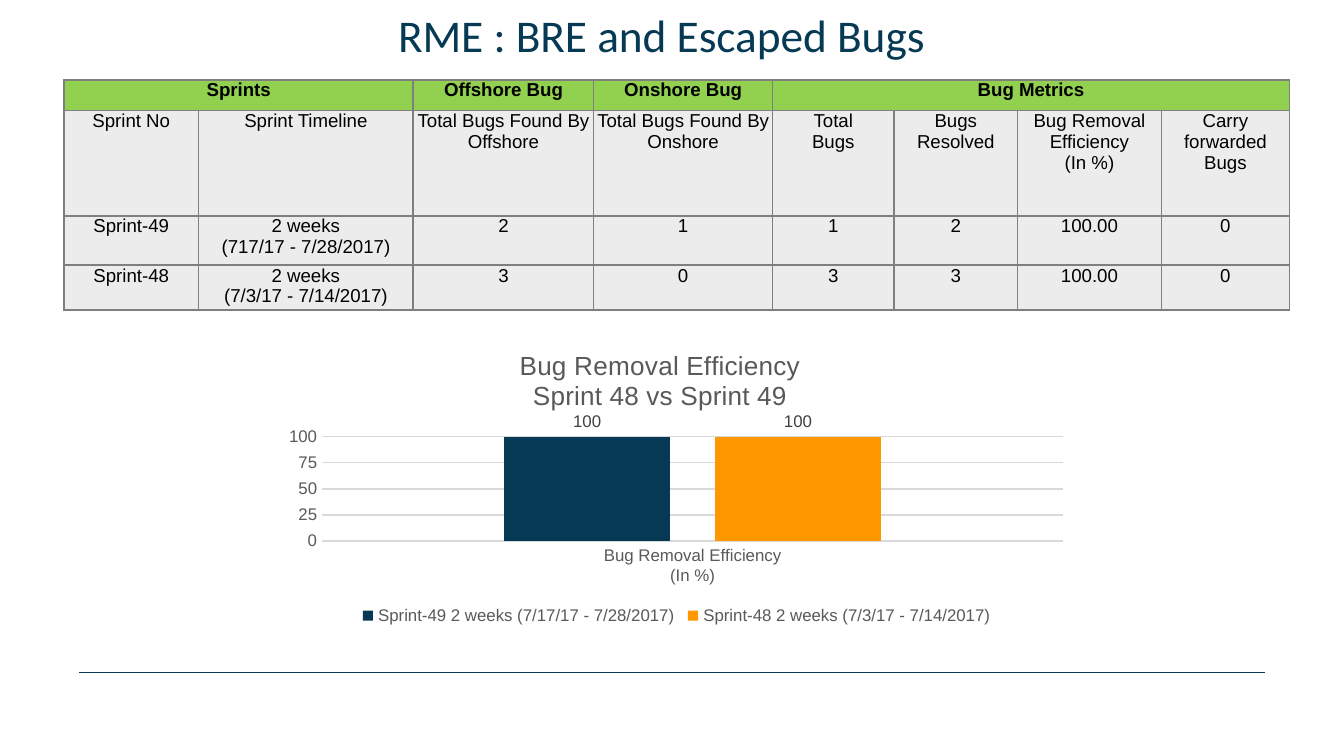
from lxml import etree
from pptx import Presentation
from pptx import util as u
from pptx.chart.data import CategoryChartData
from pptx.dml.color import RGBColor
from pptx.enum import chart as c, shapes, text
from pptx.oxml import parse_xml
from pptx.oxml.ns import nsdecls, qn

NAVY = RGBColor(0x06, 0x39, 0x54)
ORANGE = RGBColor(0xFF, 0x98, 0x00)
GREEN = RGBColor(0x92, 0xD0, 0x50)
PALE = RGBColor(0xEC, 0xEC, 0xEC)
BORDER = RGBColor(0x7F, 0x7F, 0x7F)
GRID = RGBColor(0xD9, 0xD9, 0xD9)
LABEL = RGBColor(0x40, 0x40, 0x40)
GREY = RGBColor(0x59, 0x59, 0x59)
BLACK = RGBColor(0, 0, 0)


def set_font(font, size, color, name="Arial"):
    font.size, font.name, font.bold = u.Pt(size), name, False
    font.color.rgb = color


def manual_layout(x, y, width=None, height=None, target=""):
    """Return a c:layout element, measured in fractions of the chart."""
    layout = parse_xml(f"<c:layout {nsdecls('c')}><c:manualLayout/></c:layout>")
    values = [("xMode", "edge"), ("yMode", "edge"), ("x", x), ("y", y), ("w", width), ("h", height)]
    if target:
        values.insert(0, ("layoutTarget", target))
    for tag, value in values:
        if value is not None:
            etree.SubElement(layout[0], qn(f"c:{tag}")).set("val", str(value))
    return layout


presentation = Presentation()
presentation.slide_width, presentation.slide_height = u.Cm(25.4), u.Cm(14.28)
slide = presentation.slides.add_slide(presentation.slide_layouts[6])

# Footer rule
rule = slide.shapes.add_connector(
    shapes.MSO_CONNECTOR.STRAIGHT, u.Cm(1.5), u.Cm(12.7), u.Cm(23.9), u.Cm(12.7))
rule.line.color.rgb = NAVY
rule.line.width = u.Pt(0.5)
etree.SubElement(rule._element.spPr, qn("a:effectLst"))

# Title
title = slide.shapes.add_textbox(u.Cm(0.5), u.Cm(0), u.Cm(24), u.Cm(1.3))
frame = title.text_frame
frame.word_wrap = True
frame.margin_left = frame.margin_right = frame.margin_top = frame.margin_bottom = 0
frame.vertical_anchor = text.MSO_ANCHOR.MIDDLE
frame.text = "RME : BRE and Escaped Bugs"
frame.paragraphs[0].alignment = text.PP_ALIGN.CENTER
set_font(frame.paragraphs[0].runs[0].font, 24.3, NAVY, "Calibri")

# Sprint table
ROWS = [
    ["Sprints", "", "Offshore Bug", "Onshore Bug", "Bug Metrics", "", "", ""],
    ["Sprint No", "Sprint Timeline", "Total Bugs Found By Offshore", "Total Bugs Found By Onshore",
     "Total\nBugs", "Bugs Resolved", "Bug Removal Efficiency\n(In %)", "Carry forwarded Bugs"],
    ["Sprint-49", "2 weeks\n(717/17 - 7/28/2017)", "2", "1", "1", "2", "100.00", "0"],
    ["Sprint-48", "2 weeks\n(7/3/17 - 7/14/2017)", "3", "0", "3", "3", "100.00", "0"],
]
WIDTHS = [2.54, 4.06, 3.41, 3.38, 2.3, 2.33, 2.72, 2.42]
HEIGHTS = [0.58, 1.99, 0.93, 0.8]
table = slide.shapes.add_table(
    len(ROWS), len(WIDTHS), u.Cm(1.21), u.Cm(1.51), u.Cm(sum(WIDTHS)), u.Cm(sum(HEIGHTS))).table
table.horz_banding = False
for column, width in zip(table.columns, WIDTHS):
    column.width = u.Cm(width)
for row, height in zip(table.rows, HEIGHTS):
    row.height = u.Cm(height)
for row_index, row in enumerate(ROWS):
    for column_index, content in enumerate(row):
        cell = table.cell(row_index, column_index)
        cell.margin_left = cell.margin_right = cell.margin_top = cell.margin_bottom = 0
        properties = cell._tc.get_or_add_tcPr()
        for side in ("lnL", "lnR", "lnT", "lnB"):
            properties.append(parse_xml(
                f'<a:{side} {nsdecls("a")} w="12700"><a:solidFill><a:srgbClr val="{BORDER}"/>'
                f'</a:solidFill></a:{side}>'))
        cell.fill.solid()
        cell.fill.fore_color.rgb = PALE if row_index else GREEN
        cell.text = content
        for paragraph in cell.text_frame.paragraphs:
            paragraph.alignment = text.PP_ALIGN.CENTER
            set_font(paragraph.font, 10, BLACK)
            paragraph.font.bold = row_index == 0
for first, last in ((0, 1), (4, 7)):
    table.cell(0, first).merge(table.cell(0, last))

# Efficiency chart
data = CategoryChartData()
data.categories = ["Bug Removal Efficiency\n(In %)"]
data.add_series("Sprint-49 2 weeks (7/17/17 - 7/28/2017)", [100])
data.add_series("Sprint-48 2 weeks (7/3/17 - 7/14/2017)", [100])
chart = slide.shapes.add_chart(
    c.XL_CHART_TYPE.COLUMN_CLUSTERED, u.Cm(5.18), u.Cm(6.27), u.Cm(15.21), u.Cm(6.38), data).chart
set_font(chart.font, 10, BLACK)

chart.has_title = True
chart.chart_title.include_in_layout = False
chart.chart_title.text_frame.text = "Bug Removal Efficiency\nSprint 48 vs Sprint 49"
for paragraph in chart.chart_title.text_frame.paragraphs:
    set_font(paragraph.runs[0].font, 14, GREY)
chart_title = chart.chart_title._element
for layout in chart_title.findall(qn("c:layout")):
    chart_title.remove(layout)
chart_title.find(qn("c:tx")).addnext(manual_layout(0.3, 0.04))

chart.has_legend = True
chart.legend.position = c.XL_LEGEND_POSITION.BOTTOM
chart.legend.include_in_layout = False
set_font(chart.legend.font, 9, GREY)
legend = chart.legend._element
for layout in legend.findall(qn("c:layout")):
    legend.remove(layout)
legend.find(qn("c:legendPos")).addnext(manual_layout(0.1, 0.8, 0.8, 0.08))

plot_area = chart._chartSpace.chart.plotArea
for layout in plot_area.findall(qn("c:layout")):
    plot_area.remove(layout)
plot_area.insert(0, manual_layout(0.06, 0.31, 0.92, 0.31, "inner"))

for axis in (chart.category_axis, chart.value_axis):
    axis.major_tick_mark = axis.minor_tick_mark = c.XL_TICK_MARK.NONE
    set_font(axis.tick_labels.font, 9, GREY)
chart.category_axis.format.line.color.rgb = GRID
chart.category_axis.format.line.width = u.Pt(0.75)
value_axis = chart.value_axis
value_axis.minimum_scale, value_axis.maximum_scale, value_axis.major_unit = 0, 100, 25
value_axis.format.line.fill.background()
value_axis.major_gridlines.format.line.color.rgb = GRID
value_axis.major_gridlines.format.line.width = u.Pt(0.75)

plot = chart.plots[0]
plot.gap_width, plot.overlap, plot.vary_by_categories = 219, -27, False
for series, color in zip(plot.series, (NAVY, ORANGE)):
    series.format.fill.solid()
    series.format.fill.fore_color.rgb = color
    series.data_labels.show_value = True
    series.data_labels.position = c.XL_LABEL_POSITION.OUTSIDE_END
    set_font(series.data_labels.font, 9, LABEL)

presentation.save("out.pptx")
